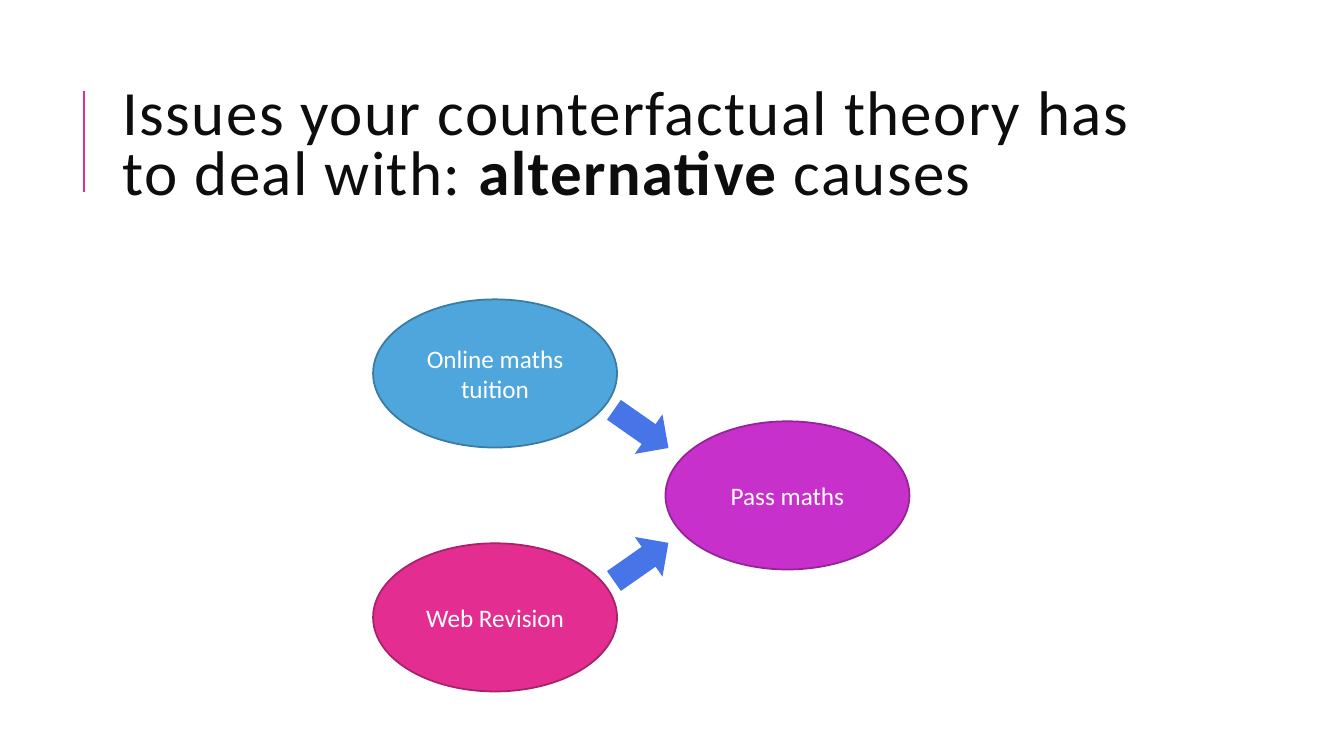
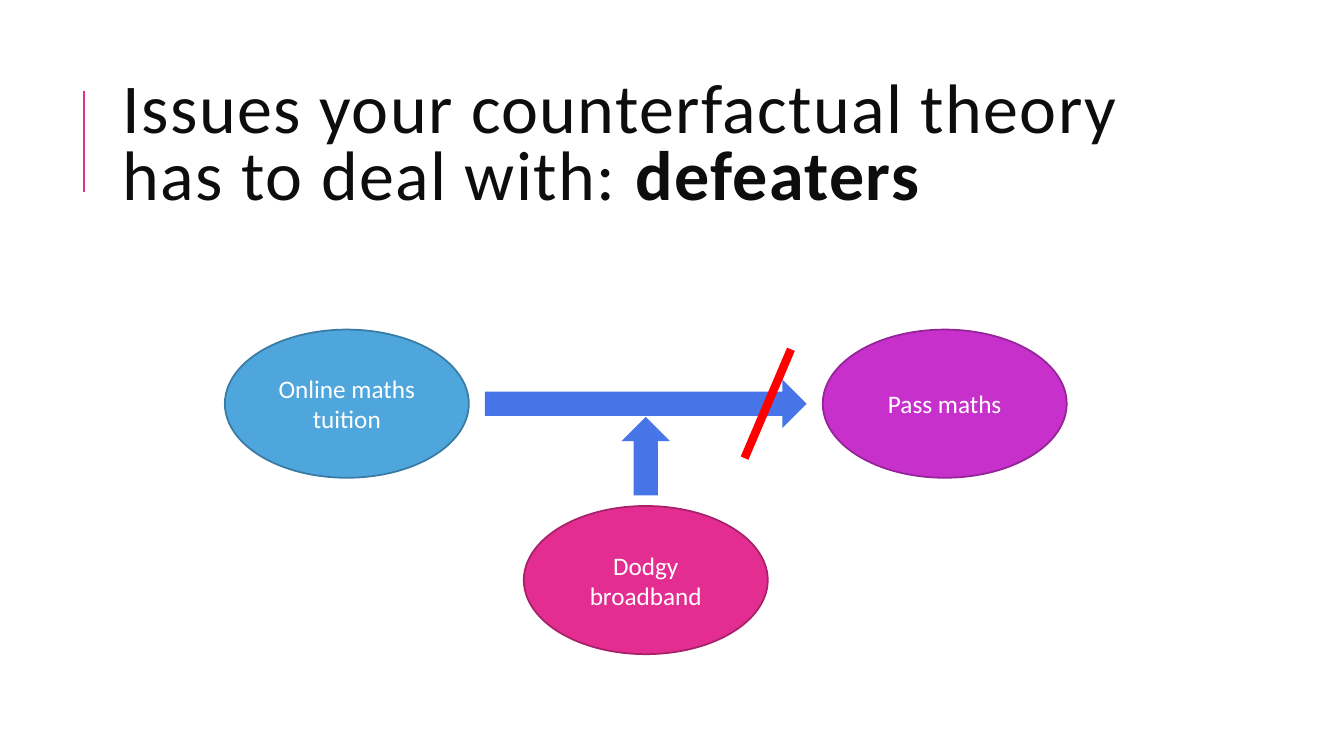
from lxml import etree
from pptx import Presentation
from pptx.dml.color import RGBColor
from pptx.enum.shapes import MSO_CONNECTOR, MSO_SHAPE
from pptx.enum.text import MSO_ANCHOR, PP_ALIGN
from pptx.oxml.ns import qn
from pptx.util import Inches, Pt

FONT = "Calibri"
INK = RGBColor(0x0D, 0x0D, 0x0D)
WHITE = RGBColor(0xFF, 0xFF, 0xFF)
PINK = RGBColor(0xE3, 0x2D, 0x91)
ARROW_BLUE = RGBColor(0x47, 0x75, 0xE7)
RED = RGBColor(0xFF, 0x00, 0x00)

# Fill and outline of each kind of node
CAUSE = (RGBColor(0x4E, 0xA6, 0xDC), RGBColor(0x3A, 0x7B, 0xA3))
RIVAL = (PINK, RGBColor(0xA8, 0x21, 0x6B))
EFFECT = (RGBColor(0xC8, 0x30, 0xCC), RGBColor(0x94, 0x24, 0x97))

NODE_W, NODE_H = 2.42, 1.47
ARROW_H = 0.48
TITLE_LEAD = "Issues your counterfactual theory has to deal with: "


def add_run(p, text, size, color, bold=False, spacing=None):
    r = p.add_run()
    r.text = text
    r.font.name = FONT
    r.font.size = Pt(size)
    r.font.color.rgb = color
    r.font.bold = bold
    if spacing is not None:
        r.font._element.set("spc", str(int(spacing * 100)))


def add_line(s, x1, y1, x2, y2, color, width):
    line = s.shapes.add_connector(
        MSO_CONNECTOR.STRAIGHT, Inches(x1), Inches(y1), Inches(x2), Inches(y2))
    line.line.color.rgb = color
    line.line.width = Pt(width)
    etree.SubElement(line._element.spPr, qn("a:effectLst"))


def add_node(s, text, x, y, colors):
    sp = s.shapes.add_shape(
        MSO_SHAPE.OVAL, Inches(x), Inches(y), Inches(NODE_W), Inches(NODE_H))
    sp.shadow.inherit = False
    fill, outline = colors
    sp.fill.solid()
    sp.fill.fore_color.rgb = fill
    sp.line.color.rgb = outline
    sp.line.width = Pt(1.25)
    tf = sp.text_frame
    tf.word_wrap = True
    tf.vertical_anchor = MSO_ANCHOR.MIDDLE
    p = tf.paragraphs[0]
    p.alignment = PP_ALIGN.CENTER
    add_run(p, text, 18, WHITE)


def add_arrow(s, cx, cy, length, angle=0):
    """Block arrow centred on (cx, cy), turned clockwise by angle."""
    sp = s.shapes.add_shape(
        MSO_SHAPE.RIGHT_ARROW, Inches(cx - length / 2), Inches(cy - ARROW_H / 2),
        Inches(length), Inches(ARROW_H))
    sp.shadow.inherit = False
    sp.fill.solid()
    sp.fill.fore_color.rgb = ARROW_BLUE
    sp.line.fill.background()
    sp.rotation = angle


def add_title(s, x, y, w, h, size, parts):
    # Accent rule left of the title
    add_line(s, x - 0.29, y + 1.26, x - 0.29, y + 0.26, PINK, 1.5)
    # Title text
    tf = s.shapes.add_textbox(Inches(x), Inches(y), Inches(w), Inches(h)).text_frame
    tf.word_wrap = True
    tf.vertical_anchor = MSO_ANCHOR.MIDDLE
    p = tf.paragraphs[0]
    p.line_spacing = 0.8
    for text, bold in parts:
        add_run(p, text, size, INK, bold=bold, spacing=1)


def alternatives_diagram(s, x, y, w, h):
    middle = y + h / 2
    # Two causes on the left, one effect on the right
    add_node(s, "Online maths tuition", x, y, CAUSE)
    add_node(s, "Web Revision", x, y + h - NODE_H, RIVAL)
    add_node(s, "Pass maths", x + w - NODE_W, middle - NODE_H / 2, EFFECT)
    # Arrows converging on the effect
    for side in (-1, 1):
        add_arrow(s, x + w / 2, middle + side * 0.66, 0.66, angle=-35 * side)


def defeater_diagram(s, x, y, w, h):
    centre, axis = x + w / 2, y + NODE_H / 2
    # Cause and effect at the ends, defeater below
    add_node(s, "Online maths tuition", x, y, CAUSE)
    add_node(s, "Dodgy broadband", centre - NODE_W / 2, y + h - NODE_H, RIVAL)
    add_node(s, "Pass maths", x + w - NODE_W, y, EFFECT)
    # Causal arrow, and the defeater's arrow up to it
    add_arrow(s, centre, axis, 3.19)
    add_arrow(s, centre, axis + 0.52, 0.78, angle=270)
    # Slash through the causal arrow
    slash = centre + 1.21
    add_line(s, slash + 0.23, axis - 0.54, slash - 0.23, axis + 0.54, RED, 6)


SLIDES = [
    (45, [("alternative", True), (" causes", False)],
     alternatives_diagram, (3.7, 2.97, 5.32, 3.89)),
    (50, [("defeaters", True)],
     defeater_diagram, (2.23, 3.27, 8.35, 3.22)),
]

prs = Presentation()
prs.slide_width, prs.slide_height = Inches(13.33), Inches(7.5)
for size, ending, diagram, box in SLIDES:
    s = prs.slides.add_slide(prs.slide_layouts[6])
    add_title(s, 1.12, 0.64, 10.63, 1.64, size, [(TITLE_LEAD, False)] + ending)
    diagram(s, *box)
prs.save("out.pptx")
